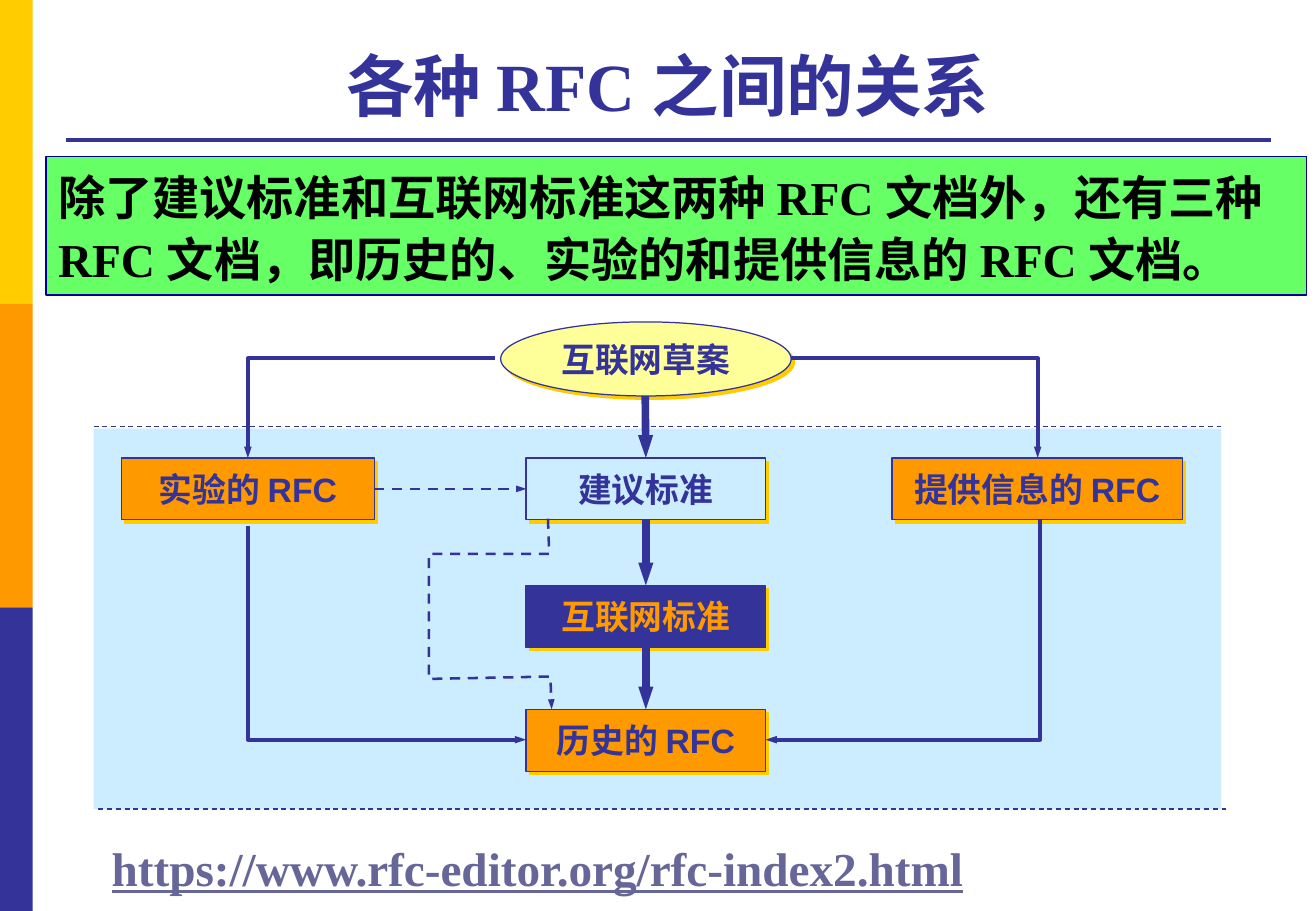
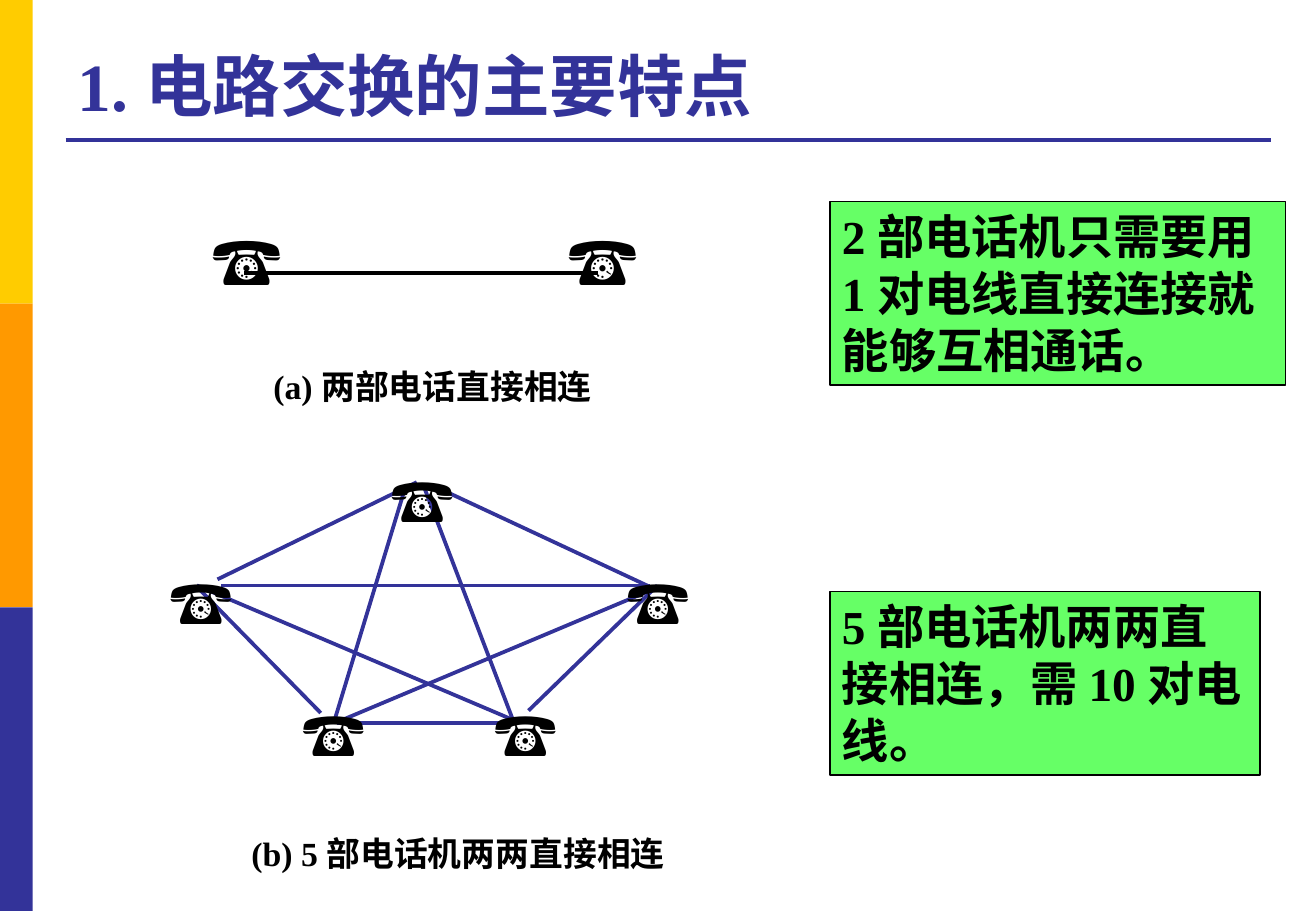
from dataclasses import dataclass
from lxml import etree
from pptx import Presentation
from pptx.dml.color import RGBColor
from pptx.enum.dml import MSO_LINE
from pptx.enum.shapes import MSO_CONNECTOR, MSO_SHAPE
from pptx.enum.text import MSO_ANCHOR, PP_ALIGN
from pptx.oxml.ns import qn
from pptx.util import Inches, Pt

RECT, OVAL = MSO_SHAPE.RECTANGLE, MSO_SHAPE.OVAL
STRAIGHT = MSO_CONNECTOR.STRAIGHT
DASH = MSO_LINE.DASH
CENTER, LEFT = PP_ALIGN.CENTER, PP_ALIGN.LEFT
TOP, MIDDLE, BOTTOM = MSO_ANCHOR.TOP, MSO_ANCHOR.MIDDLE, MSO_ANCHOR.BOTTOM
SIDE_TOP, SIDE_LEFT, SIDE_BOTTOM, SIDE_RIGHT = range(4)
TITLE_ONLY = 5


@dataclass(frozen=True)
class Theme:
    gold: str = "FFCC00"
    orange: str = "FF9900"
    indigo: str = "333399"
    sky: str = "CCECFF"
    cream: str = "FFFF99"
    green: str = "66FF66"
    navy: str = "000099"
    black: str = "000000"
    address: str = "666699"
    serif: str = "Times New Roman"
    sans: str = "Arial"
    title_size: int = 40
    note_size: int = 28
    label_size: int = 20


THEME = Theme()


def apply_format(target, values):
    for attribute, value in values.items():
        setattr(target, attribute, value)


def set_line(line, color, width, dash=None):
    line.color.rgb = RGBColor.from_string(color)
    line.width = Pt(width)
    if dash:
        line.dash_style = dash


def add_arrowhead(shape):
    stroke = shape.line._get_or_add_ln()
    etree.SubElement(stroke, qn("a:tailEnd"), type="triangle", w="sm", len="med")


def add_gold_shadow(shape):
    effects = shape.element.spPr.find(qn("a:effectLst"))
    shadow = etree.SubElement(effects, qn("a:outerShdw"), blurRad="0",
                              dist=str(Pt(2.8)), dir=str(45 * 60000), algn="ctr")
    etree.SubElement(shadow, qn("a:srgbClr"), val=THEME.gold)


def write_text(shape, text, size, color, font=THEME.serif, align=LEFT,
               bold=True, underline=None, spacing=None, **frame_format):
    frame = shape.text_frame
    apply_format(frame, {"word_wrap": True, "vertical_anchor": TOP, **frame_format})
    paragraph = frame.paragraphs[0]
    paragraph.text = text
    apply_format(paragraph, {"alignment": align, "line_spacing": spacing})
    apply_format(paragraph.font, {"name": font, "size": Pt(size), "bold": bold,
                                  "underline": underline})
    paragraph.font.color.rgb = RGBColor.from_string(color)


def add_box(slide, at, fill, line=None, kind=RECT):
    box = slide.shapes.add_shape(kind, *map(Inches, at))
    box.shadow.inherit = False
    box.fill.solid()
    box.fill.fore_color.rgb = RGBColor.from_string(fill)
    if line:
        set_line(box.line, line, 0.75)
    else:
        box.line.fill.background()
    return box


def add_text(slide, at, text, size, color, **text_format):
    label = slide.shapes.add_textbox(*map(Inches, at))
    write_text(label, text, size, color, **text_format)


def add_note(slide, at, text, line=THEME.black, spacing=None):
    note = add_box(slide, at, THEME.green, line)
    write_text(note, text, THEME.note_size, THEME.black, spacing=spacing)


def add_node(slide, at, text, fill, color=THEME.indigo, kind=RECT):
    node = add_box(slide, at, fill, THEME.indigo, kind)
    add_gold_shadow(node)
    no_margins = dict.fromkeys(
        ("margin_left", "margin_right", "margin_top", "margin_bottom"), 0)
    write_text(node, text, THEME.label_size, color, font=THEME.sans, align=CENTER,
               vertical_anchor=MIDDLE, **no_margins)
    return node


def add_line(slide, ends, width, color=THEME.indigo, dash=None):
    line = slide.shapes.add_connector(STRAIGHT, *map(Inches, ends))
    set_line(line.line, color, width, dash)
    etree.SubElement(line.element.spPr, qn("a:effectLst"))
    return line


def add_arrow(slide, ends, width, dash=None, source=None, target=None):
    arrow = add_line(slide, ends, width, dash=dash)
    add_arrowhead(arrow)
    if source:
        arrow.begin_connect(*source)
    if target:
        arrow.end_connect(*target)


def add_route(slide, points, width, dash=None):
    start, *turns = [tuple(map(Inches, point)) for point in points]
    builder = slide.shapes.build_freeform(*start)
    builder.add_line_segments(turns, close=False)
    route = builder.convert_to_shape()
    route.shadow.inherit = False
    route.fill.background()
    set_line(route.line, THEME.indigo, width, dash)
    add_arrowhead(route)


def add_phone(slide, left, top, width, height, size):
    add_text(slide, (left, top, width, height), "☎", size, THEME.black,
             bold=False, word_wrap=False)


def style_master(master, slide):
    title = master.placeholders[0]
    apply_format(title, {"left": Inches(0.54), "top": Inches(0.21),
                         "width": Inches(9.91), "height": Inches(0.87)})
    title.text_frame.vertical_anchor = BOTTOM
    level = master.element.find(f".//{qn('p:titleStyle')}/{qn('a:lvl1pPr')}")
    level.set("algn", "l")
    run_style = level.find(qn("a:defRPr"))
    run_style.set("sz", str(THEME.title_size * 100))
    run_style.set("b", "1")
    fill = run_style.find(qn("a:solidFill"))
    fill.clear()
    etree.SubElement(fill, qn("a:srgbClr"), val=THEME.indigo)
    run_style.find(qn("a:latin")).set("typeface", THEME.serif)

    bands = [add_box(slide, (0, 2.5 * row, 0.27, 2.5), color)
             for row, color in enumerate((THEME.gold, THEME.orange, THEME.indigo))]
    rule = add_line(slide, (0.54, 1.15, 10.46, 1.15), 2.25)
    for number, part in enumerate([*bands, rule], start=20):
        part.element.find(f".//{qn('p:cNvPr')}").set("id", str(number))
        master.shapes.element.append(part.element)


def set_title(slide, text, align=None):
    slide.shapes.title.text = text
    slide.shapes.title.text_frame.paragraphs[0].alignment = align


def build_rfc_slide(slide):
    set_title(slide, "各种 RFC 之间的关系", CENTER)
    add_box(slide, (0.77, 3.53, 9.28, 3.13), THEME.sky)
    for left, y in ((0.77, 3.51), (0.81, 6.66)):
        add_line(slide, (left, y, left + 9.28, y), 0.75, dash=DASH)

    proposed = add_node(slide, (4.33, 3.77, 1.97, 0.51), "建议标准", THEME.sky)
    standard = add_node(slide, (4.33, 4.82, 1.97, 0.51), "互联网标准",
                        THEME.indigo, THEME.orange)
    historic = add_node(slide, (4.33, 5.84, 1.97, 0.51), "历史的 RFC", THEME.orange)
    experimental = add_node(slide, (1, 3.77, 2.08, 0.51), "实验的 RFC", THEME.orange)
    add_node(slide, (7.34, 3.77, 2.39, 0.51), "提供信息的 RFC", THEME.orange)
    add_node(slide, (4.12, 2.65, 2.39, 0.61), "互联网草案", THEME.cream, kind=OVAL)

    axis = 5.31
    add_arrow(slide, (axis, 3.26, axis, 3.77), 4.5, target=(proposed, SIDE_TOP))
    add_arrow(slide, (axis, 4.28, axis, 4.82), 4.5,
              source=(proposed, SIDE_BOTTOM), target=(standard, SIDE_TOP))
    add_arrow(slide, (axis, 5.33, axis, 5.84), 4.5,
              source=(standard, SIDE_BOTTOM), target=(historic, SIDE_TOP))
    add_arrow(slide, (3.08, 4.03, 4.33, 4.03), 1.5, DASH,
              source=(experimental, SIDE_RIGHT), target=(proposed, SIDE_LEFT))

    for route in (
        ((6.51, 2.95), (8.54, 2.95), (8.54, 3.77)),
        ((4.07, 2.95), (2.04, 2.95), (2.04, 3.77)),
        ((2.04, 4.33), (2.04, 6.09), (4.33, 6.09)),
        ((8.56, 4.28), (8.56, 6.09), (6.3, 6.09)),
    ):
        add_route(slide, route, 2.25)
    add_route(slide, ((4.51, 4.27), (4.52, 4.56), (3.53, 4.56), (3.53, 5.59),
                      (4.53, 5.57), (4.54, 5.84)), 1.5, DASH)

    add_note(slide, (0.38, 1.29, 10.37, 1.14),
             "除了建议标准和互联网标准这两种 RFC 文档外，还有三种 RFC 文档，"
             "即历史的、实验的和提供信息的 RFC 文档。", THEME.navy, 1.1)
    add_text(slide, (0.82, 6.86, 7.29, 0.57),
             "https://www.rfc-editor.org/rfc-index2.html", THEME.note_size,
             THEME.address, underline=True, word_wrap=False)


def build_circuit_slide(slide):
    set_title(slide, "1. 电路交换的主要特点")
    add_line(slide, (2.01, 2.25, 4.92, 2.25), 2.25, THEME.black)
    for left in (1.65, 4.58):
        add_phone(slide, left, 1.75, 0.95, 0.77, 40)

    for wire in (
        (1.79, 4.77, 3.43, 3.97), (3.59, 4.01, 5.41, 4.86),
        (1.62, 4.83, 2.64, 5.87), (2.77, 5.95, 4.26, 5.95),
        (4.35, 5.85, 5.41, 4.82), (3.49, 4.01, 4.23, 5.95),
        (3.33, 4.03, 2.75, 5.94), (1.82, 4.82, 5.35, 4.82),
        (1.62, 4.82, 4.23, 5.93), (2.81, 5.93, 5.33, 4.87),
    ):
        add_line(slide, wire, 2.25)
    for left, top in ((3.12, 3.75), (1.3, 4.59), (5.06, 4.59),
                      (3.97, 5.68), (2.39, 5.68)):
        add_phone(slide, left, top, 0.87, 0.71, 36)

    for top, caption in ((2.96, "(a) 两部电话直接相连"),
                         (6.81, "(b) 5 部电话机两两直接相连")):
        add_text(slide, (1.82, top, 3.9 if top > 5 else 3.48, 0.44), caption,
                 THEME.label_size, THEME.black, align=CENTER)
    add_note(slide, (6.83, 1.66, 3.75, 1.51),
             "2 部电话机只需要用 1 对电线直接连接就能够互相通话。")
    add_note(slide, (6.83, 4.87, 3.54, 1.51),
             "5 部电话机两两直接相连，需 10 对电线。")


def main():
    deck = Presentation()
    apply_format(deck, {"slide_width": Inches(10.83), "slide_height": Inches(7.5)})
    layout = deck.slide_layouts[TITLE_ONLY]
    rfc_slide, circuit_slide = (deck.slides.add_slide(layout) for _ in range(2))
    style_master(deck.slide_master, rfc_slide)
    build_rfc_slide(rfc_slide)
    build_circuit_slide(circuit_slide)
    deck.save("out.pptx")


if __name__ == "__main__":
    main()
